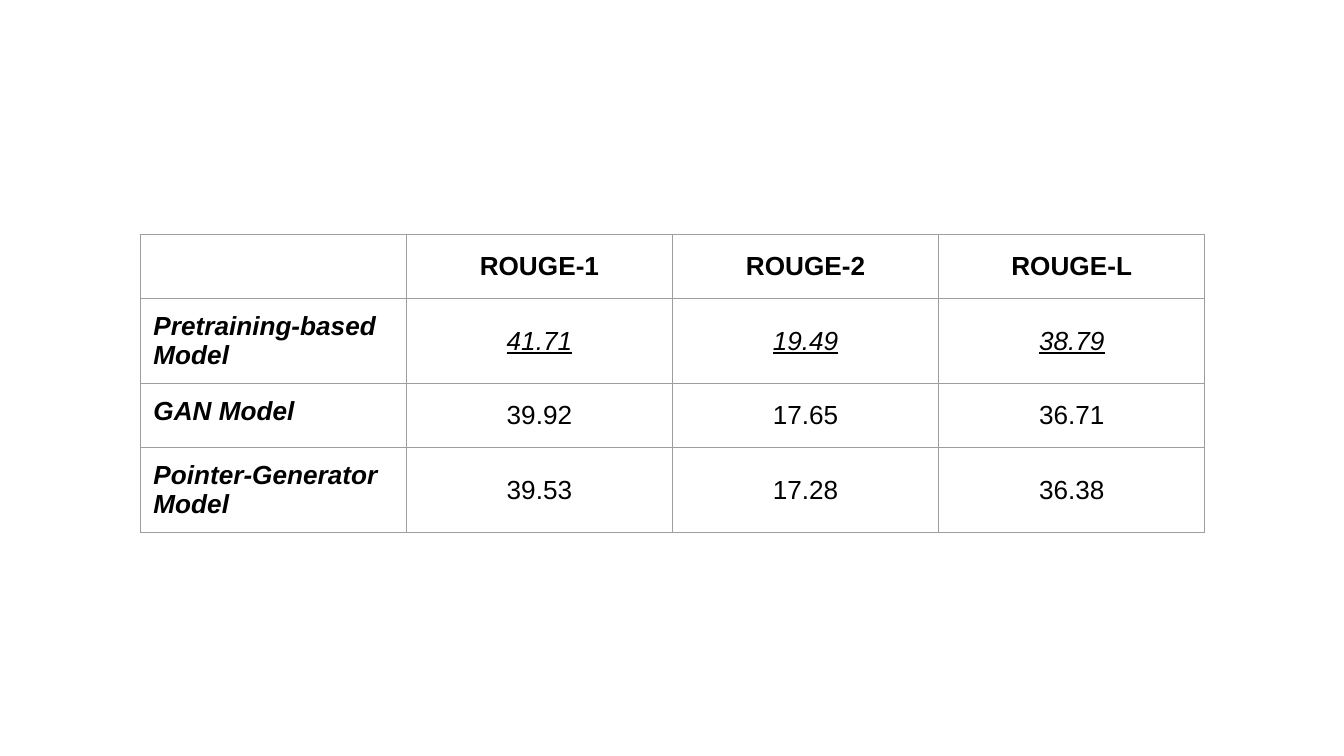
from dataclasses import dataclass

from lxml.etree import SubElement
from pptx import Presentation
from pptx.dml.color import RGBColor
from pptx.enum.text import MSO_ANCHOR, PP_ALIGN
from pptx.oxml.ns import qn
from pptx.util import Cm, Pt


@dataclass(frozen=True)
class Theme:
    font: str = "Arial"
    size: float = 14
    text: str = "000000"
    border: str = "9E9E9E"
    border_width: float = 0.75


theme = Theme()


def write(cell, text, bold=False, italic=False, underline=False,
          align=PP_ALIGN.CENTER, anchor=MSO_ANCHOR.MIDDLE):
    cell.margin_left = cell.margin_right = Cm(0.25)
    cell.margin_top = cell.margin_bottom = Cm(0.25)
    cell.vertical_anchor = anchor
    p = cell.text_frame.paragraphs[0]
    p.alignment = align
    r = p.add_run()
    r.text = text
    r.font.name = theme.font
    r.font.size = Pt(theme.size)
    r.font.color.rgb = RGBColor.from_string(theme.text)
    r.font.bold = bold
    r.font.italic = italic
    r.font.underline = underline


def draw_borders(cell):
    tc_pr = cell._tc.get_or_add_tcPr()
    for side in ("lnL", "lnR", "lnT", "lnB"):
        ln = SubElement(tc_pr, qn(f"a:{side}"), w=str(Pt(theme.border_width)))
        fill = SubElement(ln, qn("a:solidFill"))
        SubElement(fill, qn("a:srgbClr"), val=theme.border)


headers = ["ROUGE-1", "ROUGE-2", "ROUGE-L"]
scores = {
    "Pretraining-based Model": ["41.71", "19.49", "38.79"],
    "GAN Model": ["39.92", "17.65", "36.71"],
    "Pointer-Generator Model": ["39.53", "17.28", "36.38"],
}
best = "Pretraining-based Model"

prs = Presentation()
prs.slide_width = Cm(25.4)
prs.slide_height = Cm(14.29)
s = prs.slides.add_slide(prs.slide_layouts[6])

n_rows, n_cols = len(scores) + 1, len(headers) + 1
col_width, row_height = Cm(5.03), Cm(1.21)
table = s.shapes.add_table(n_rows, n_cols, Cm(2.65), Cm(4.43),
                           col_width * n_cols, row_height * n_rows).table
table.first_row = False
table.horz_banding = False
for col in table.columns:
    col.width = col_width
for row in table.rows:
    row.height = row_height
for cell in table.iter_cells():
    draw_borders(cell)
    cell.fill.background()

for j, header in enumerate(headers, 1):
    write(table.cell(0, j), header, bold=True)

for i, (model, values) in enumerate(scores.items(), 1):
    write(table.cell(i, 0), model, bold=True, italic=True,
          align=PP_ALIGN.LEFT, anchor=MSO_ANCHOR.TOP)
    for j, value in enumerate(values, 1):
        write(table.cell(i, j), value, italic=model == best, underline=model == best)

prs.save("out.pptx")
